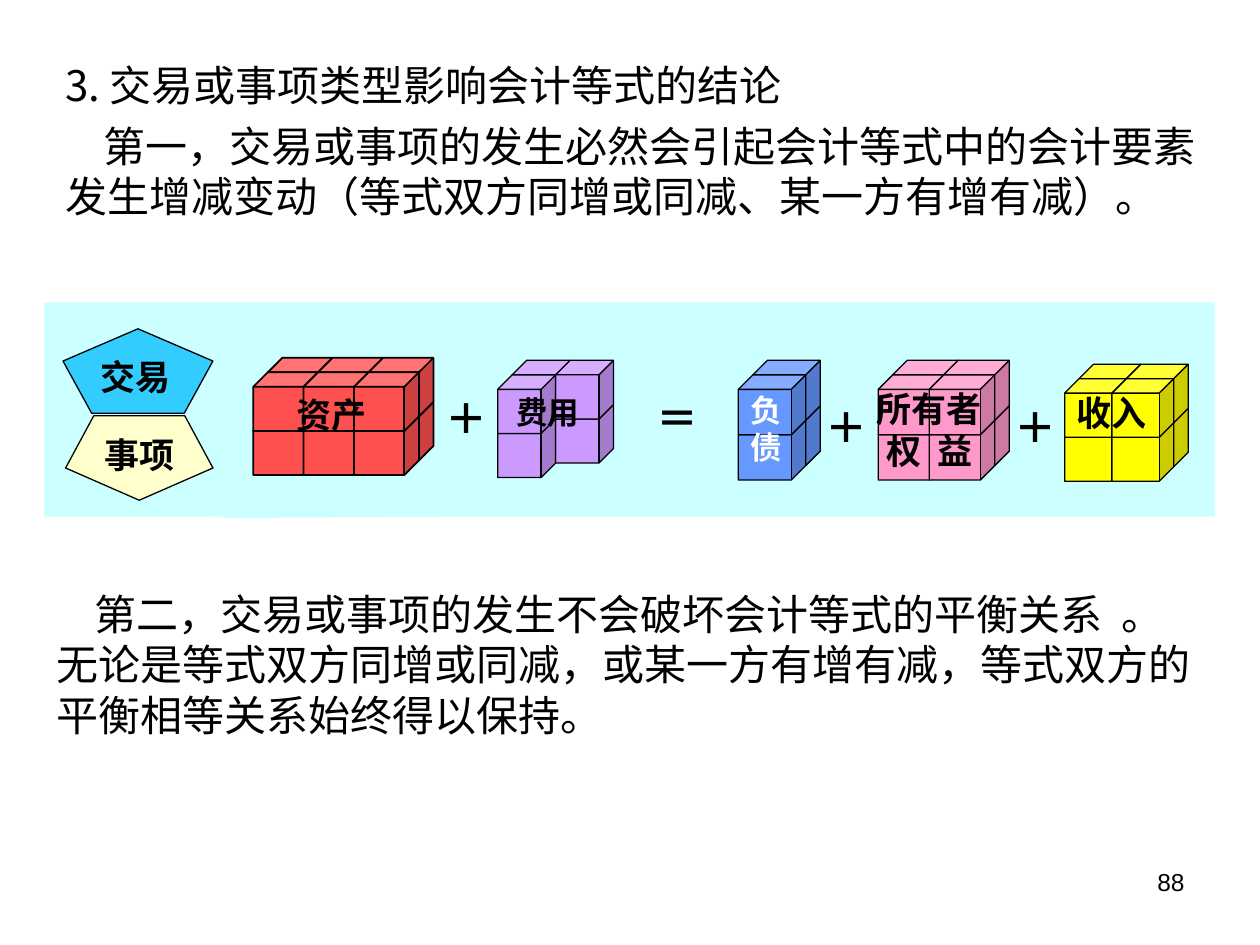
from typing import NamedTuple

from lxml import etree
from pptx import Presentation
from pptx import util as u
from pptx.dml.color import RGBColor
from pptx.enum import shapes, text
from pptx.oxml import ns

BLACK = RGBColor(0x00, 0x00, 0x00)
WHITE = RGBColor(0xFF, 0xFF, 0xFF)
PALE_CYAN = RGBColor(0xCC, 0xFF, 0xFF)
RED = RGBColor(0xFF, 0x50, 0x50)
PURPLE = RGBColor(0xCC, 0x99, 0xFF)
BLUE = RGBColor(0x66, 0x99, 0xFF)
PINK = RGBColor(0xFF, 0x99, 0xCC)
YELLOW = RGBColor(0xFF, 0xFF, 0x00)
CREAM = RGBColor(0xFF, 0xFF, 0xCC)
SKY = RGBColor(0x33, 0xCC, 0xFF)

CJK = "Noto Sans CJK SC"
CELL = u.Inches(0.1)  # the slide is a grid of 100 columns by 75 rows
DEPTH = 1.15  # depth of one cube, in cells
FIRST_LINE = u.Inches(0.3)


class Box(NamedTuple):
    """Left, top, width and height in grid cells."""
    x: float
    y: float
    w: float
    h: float

    def inner(self, x, y, w, h):
        """A box placed from this box's top left corner."""
        return Box(self.x + x, self.y + y, w, h)

    def lengths(self):
        return [round(cells * CELL) for cells in self]


def add_text(slide, box, *lines, size=24, font=CJK, color=BLACK, bold=False,
             align=text.PP_ALIGN.LEFT, gap=0, indents=()):
    frame = slide.shapes.add_textbox(*box.lengths()).text_frame
    frame.word_wrap = True
    for index, line in enumerate(lines):
        paragraph = frame.paragraphs[0] if index == 0 else frame.add_paragraph()
        paragraph.alignment = align
        if index:
            paragraph.space_before = u.Pt(gap)
        if index in indents:
            paragraph._p.get_or_add_pPr().set("indent", str(FIRST_LINE))
        run = paragraph.add_run()
        run.text = line
        run.font.name = font
        run.font.size = u.Pt(size)
        run.font.bold = bold
        run.font.color.rgb = color
        east_asian = etree.SubElement(run._r.get_or_add_rPr(), ns.qn("a:ea"))
        east_asian.set("typeface", CJK)


def add_figure(slide, kind, box, fill, line=0.75, adjust=()):
    figure = slide.shapes.add_shape(kind, *box.lengths())
    figure.shadow.inherit = False
    figure.fill.solid()
    figure.fill.fore_color.rgb = fill
    if line:
        figure.line.color.rgb = BLACK
        figure.line.width = u.Pt(line)
    else:
        figure.line.fill.background()
    for index, value in enumerate(adjust):
        figure.adjustments[index] = value
    return figure


def cube_stack(slide, box, fill, back, front, line=0.75, rows=2):
    """Two layers of cubes; back and front are their numbers of columns."""
    step_x = (box.w - 2 * DEPTH) / back
    step_y = (box.h - 2 * DEPTH) / rows
    width, height = step_x + DEPTH, step_y + DEPTH
    for columns, x, y in ((back, DEPTH, 0), (front, 0, DEPTH)):
        for row in reversed(range(rows)):
            for column in range(columns):
                cube = box.inner(x + column * step_x, y + row * step_y, width, height)
                add_figure(slide, shapes.MSO_SHAPE.CUBE, cube, fill, line,
                           [DEPTH / min(width, height)])


def event_pentagons(slide, box):
    pentagon = shapes.MSO_SHAPE.REGULAR_PENTAGON
    item = add_figure(slide, pentagon, box.inner(0.2, 6.9, 11.7, 6.7), CREAM)
    item.rotation = 180
    add_figure(slide, pentagon, box.inner(0, 0, 11.9, 6.7), SKY)
    for word, x, y in (("事项", 1.1, 7.8), ("交易", 0.8, 1.6)):
        add_text(slide, box.inner(x, y, 10, 5), word, size=20, bold=True,
                 font="Arial", align=text.PP_ALIGN.CENTER)


def equation_band(slide, box):
    add_figure(slide, shapes.MSO_SHAPE.RECTANGULAR_CALLOUT, box, PALE_CYAN,
               line=0, adjust=(-0.356, 0.507))
    event_pentagons(slide, box.inner(1.5, 2.1, 11.9, 13.6))

    # stack place, fill, back and front columns, line, label place, label, size, colour
    elements = (
        ((16.6, 4.4, 14.3, 9.3), RED, 3, 3, 1,
         (1.4, 2.3, 9.6, 5.9), ["资产"], 20, BLACK),
        ((36, 4.6, 9.2, 9.3), PURPLE, 2, 1, 0.75,
         (-0.1, 2.1, 8.1, 5.8), ["费用"], 18, BLACK),
        ((55.1, 4.6, 6.5, 9.5), BLUE, 1, 1, 0.75,
         (0, 1.9, 3.9, 5.1), ["负债"], 18, WHITE),
        ((66.2, 4.6, 10.4, 9.5), PINK, 2, 2, 0.75,
         (-1.4, 1.7, 10.9, 7.7), ["所有者", "权  益"], 20, BLACK),
        ((81, 4.9, 9.8, 9.3), YELLOW, 2, 2, 0.75,
         (-0.3, 1.7, 8, 5.9), ["收入"], 20, BLACK),
    )
    for place, fill, back, front, line, label_place, label, size, color in elements:
        stack = box.inner(*place)
        cube_stack(slide, stack, fill, back, front, line)
        add_text(slide, stack.inner(*label_place), *label, size=size, color=color,
                 bold=True, align=text.PP_ALIGN.CENTER)

    for sign, x, y, width in (("＋", 30.8, 6.7, 5.5), ("＝", 46.7, 6.7, 7.1),
                              ("＋", 60.9, 7.4, 5.5), ("＋", 75.9, 7.4, 5.5)):
        add_text(slide, box.inner(x, y, width, 4.6), sign, bold=True,
                 align=text.PP_ALIGN.CENTER)


def main():
    deck = Presentation()
    deck.slide_width, deck.slide_height = 100 * CELL, 75 * CELL
    slide = deck.slides.add_slide(deck.slide_layouts[6])

    add_text(slide, Box(4.2, 4.2, 91.7, 24.2),
             "3. 交易或事项类型影响会计等式的结论",
             "第一，交易或事项的发生必然会引起会计等式中的会计要素发生增减变动"
             "（等式双方同增或同减、某一方有增有减）。",
             gap=6, indents=[1])
    equation_band(slide, Box(3.5, 24, 92.9, 17))
    add_text(slide, Box(3.5, 46.2, 92.5, 21.7),
             "第二，交易或事项的发生不会破坏会计等式的平衡关系  。"
             "无论是等式双方同增或同减，或某一方有增有减，等式双方的平衡相等关系始终得以保持。",
             indents=[0])
    add_text(slide, Box(71.7, 68.3, 23.3, 5.2), "88", size=14, font="Arial",
             align=text.PP_ALIGN.RIGHT)
    deck.save("out.pptx")


if __name__ == "__main__":
    main()
